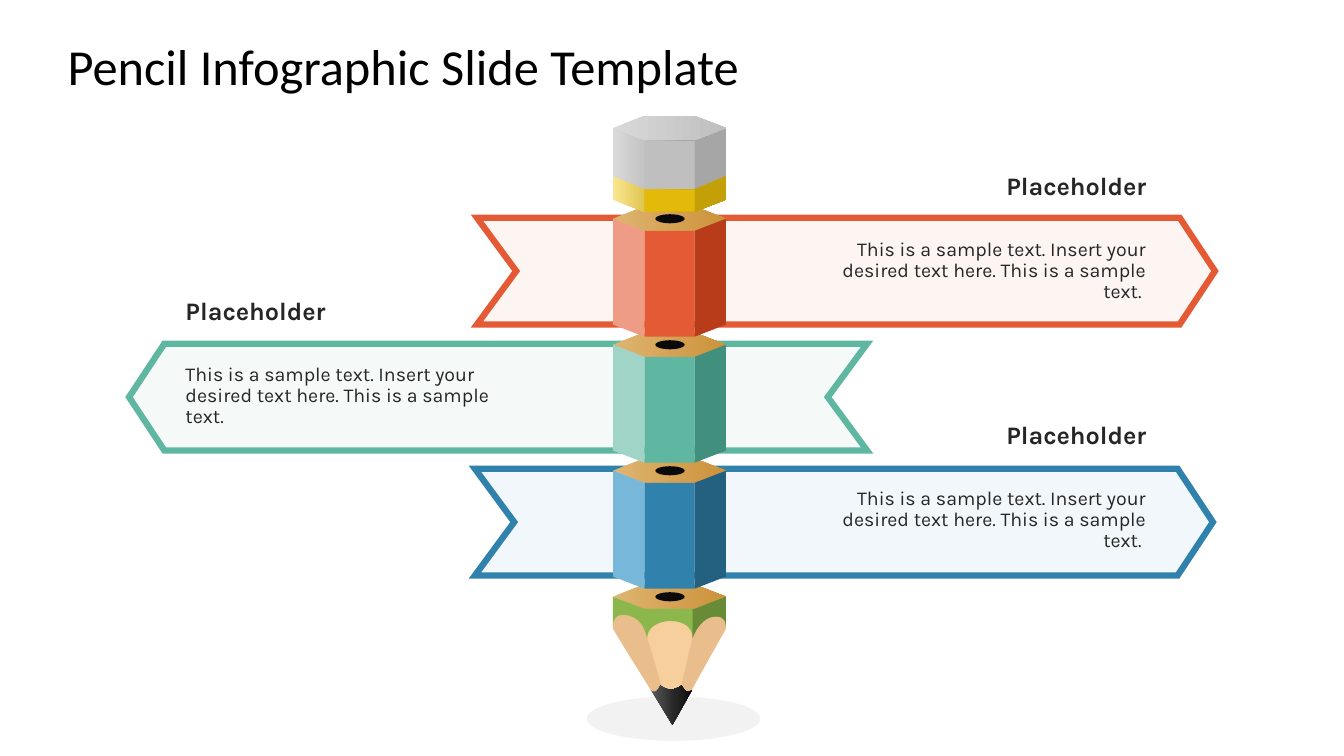
from lxml import etree
from pptx import Presentation, util as u
from pptx.dml.color import RGBColor
from pptx.enum import shapes, text
from pptx.oxml.ns import qn

RED, RED_DARK, RED_LIGHT, RED_PALE = map(RGBColor.from_string, ("E35A35", "B83B1A", "EE9C86", "F9DED7"))
TEAL, TEAL_DARK, TEAL_LIGHT, TEAL_PALE = map(RGBColor.from_string, ("5FB7A2", "41907D", "9FD4C7", "DFF1EC"))
BLUE, BLUE_DARK, BLUE_LIGHT, BLUE_PALE = map(RGBColor.from_string, ("3081AC", "246181", "77B7D9", "D2E7F2"))
BLACK, INK, LEAD, SHADE = map(RGBColor.from_string, ("000000", "262626", "0A0A0A", "F2F2F2"))
WOOD, WOOD_SIDE = map(RGBColor.from_string, ("F7CF9C", "EABD8C"))
GREEN, GREEN_DARK = map(RGBColor.from_string, ("8BB74C", "688B38"))
GREY, YELLOW = map(RGBColor.from_string, ("BFBFBF", "E4BA0A"))

# Gradients: (percent, colour) stops from left to right
CUT_WOOD = [(0, "DEB571"), (100, "CD923B")]
GRAPHITE = [(0, "595959"), (59, "262626"), (99, "0D0D0D")]
ERASER = [(0, "D9D9D9"), (63, "A6A6A6"), (100, "A6A6A6")]
ERASER_TOP = [(0, "D9D9D9"), (100, "BFBFBF")]
FERRULE = [(0, "FAE690"), (59, "C4A008"), (100, "C4A008")]

# Vertical edges of the hexagonal pencil, and the drop of its slanted edges
LEFT, INNER_LEFT, INNER_RIGHT, RIGHT = 6.08, 6.39, 6.89, 7.2
DROP, SECTION, TOP_SECTION, STEP = 0.12, 1.05, 2.17, 1.25

SAMPLE = "This is a sample text. Insert your desired text here. This is a sample text."


def flatten(outline, steps=10):
    """Turn six-number cubic curves into points; pairs pass through."""
    points = []
    for part in outline:
        if len(part) == 2:
            points.append(part)
            continue
        x0, y0 = points[-1]
        x1, y1, x2, y2, x3, y3 = part
        for i in range(1, steps + 1):
            t = i / steps
            a, b, c, d = (1 - t) ** 3, 3 * t * (1 - t) ** 2, 3 * t * t * (1 - t), t ** 3
            points.append((a * x0 + b * x1 + c * x2 + d * x3, a * y0 + b * y1 + c * y2 + d * y3))
    return points


class PencilSlide:
    TITLE = {"size": u.Pt(36), "name": "Calibri"}
    LABEL = {"size": u.Pt(18), "name": "Karla", "bold": True}
    BODY = {"size": u.Pt(14), "name": "Karla", "bold": False}

    def __init__(self, prs):
        self.s = prs.slides.add_slide(prs.slide_layouts[5])

    def paint(self, sp, fill):
        sp.shadow.inherit = False
        sp.line.fill.background()
        if isinstance(fill, RGBColor):
            sp.fill.solid()
            sp.fill.fore_color.rgb = fill
            return sp
        sp.fill.gradient()
        sp.fill.gradient_angle = 0
        stops = sp._element.spPr.find(qn("a:gradFill")).find(qn("a:gsLst"))
        for stop in list(stops):
            stops.remove(stop)
        for percent, color in fill:
            stop = etree.SubElement(stops, qn("a:gs"), pos=str(percent * 1000))
            etree.SubElement(stop, qn("a:srgbClr"), val=color)
        return sp

    def preset(self, kind, x, y, w, h, fill):
        sp = self.s.shapes.add_shape(kind, *map(u.Inches, (x, y, w, h)))
        return self.paint(sp, fill)

    def freeform(self, outline, fill):
        points = [(u.Inches(x), u.Inches(y)) for x, y in flatten(outline)]
        builder = self.s.shapes.build_freeform(*points[0])
        builder.add_line_segments(points[1:], close=True)
        return self.paint(builder.convert_to_shape(), fill)

    def set_text(self, sp, words, style, color, align):
        tf = sp.text_frame
        frame = {"word_wrap": True, "vertical_anchor": text.MSO_ANCHOR.MIDDLE,
                 "margin_left": 0, "margin_right": 0}
        for name, value in frame.items():
            setattr(tf, name, value)
        p = tf.paragraphs[0]
        p.alignment, p.line_spacing = align, 0.9
        r = p.add_run()
        r.text = words
        for name, value in style.items():
            setattr(r.font, name, value)
        r.font.color.rgb = color

    def title(self, words):
        sp = self.s.shapes.title
        box = {"left": 0.67, "top": 0.3, "width": 12, "height": 0.78}
        for name, value in box.items():
            setattr(sp, name, u.Inches(value))
        self.set_text(sp, words, self.TITLE, BLACK, text.PP_ALIGN.LEFT)

    def text_box(self, words, x, y, h, style, align):
        sp = self.s.shapes.add_textbox(*map(u.Inches, (x, y, 3.43, h)))
        sp.text_frame.margin_top = sp.text_frame.margin_bottom = 0
        self.set_text(sp, words, style, INK, align)

    def banner(self, tail, y, way, color, pale):
        """Ribbon from its notched tail; way is 1 to the right, -1 to the left."""
        offsets = [(0, 0), (6.97, 0), (7.32, 0.53), (6.97, 1.06), (0, 1.06), (0.39, 0.53)]
        sp = self.freeform([(tail + way * dx, y + dy) for dx, dy in offsets], pale)
        tint = sp._element.spPr.find(qn("a:solidFill"))[0]
        etree.SubElement(tint, qn("a:alpha"), val="30000")
        sp.line.width = u.Pt(4.5)
        sp.line.color.rgb = color
        etree.SubElement(sp._element.spPr.find(qn("a:ln")), qn("a:miter"), lim="800000")

    def hexagon(self, y, fill):
        self.freeform([(LEFT, y), (INNER_LEFT, y - DROP), (INNER_RIGHT, y - DROP), (RIGHT, y),
                       (INNER_RIGHT, y + DROP), (INNER_LEFT, y + DROP)], fill)

    def cut_face(self, y):
        self.hexagon(y, CUT_WOOD)
        self.preset(shapes.MSO_SHAPE.OVAL, 6.5, y - 0.045, 0.29, 0.09, LEAD)

    def side(self, outer, inner, y, fill):
        self.freeform([(outer, y), (inner, y + DROP), (inner, y + DROP + SECTION),
                       (outer, y + SECTION)], fill)

    def section(self, y, front, dark, light):
        self.cut_face(y)
        self.preset(shapes.MSO_SHAPE.RECTANGLE, INNER_LEFT, y + DROP,
                    INNER_RIGHT - INNER_LEFT, SECTION, front)
        self.side(RIGHT, INNER_RIGHT, y, dark)
        self.side(LEFT, INNER_LEFT, y, light)

    def tip(self, y):
        self.freeform([(6.14, 6.08), (6.64, 7.08), (7.1, 6.08)], WOOD)
        self.freeform([(6.47, 6.49), (6.39, 6.24), (6.39, 6.06), (LEFT, 6.06), (LEFT, 6.24),
                       (6.22, 6.47), (6.67, 7.19)], WOOD_SIDE)
        self.freeform([(6.89, 6.06), (6.89, 6.24), (6.83, 6.49), (6.67, 7.19), (7.07, 6.47),
                       (RIGHT, 6.24), (RIGHT, 6.06)], WOOD_SIDE)
        self.cut_face(y)
        right_scallop = [(6.87, 6.33), (6.9, 6.24, 6.98, 6.13, 7.07, 6.12),
                         (7.19, 6.1, RIGHT, 6.18, RIGHT, 6.22), (RIGHT, y)]
        self.freeform([(INNER_RIGHT, y + DROP), (INNER_LEFT, y + DROP), (LEFT, y), (LEFT, 6.24),
                       (LEFT, 6.24, 6.06, 6.1, 6.18, 6.1), (6.27, 6.1, 6.35, 6.15, 6.39, 6.24),
                       (6.42, 6.33), (6.42, 6.24, 6.5, 6.17, 6.64, 6.16),
                       (6.79, 6.16, 6.87, 6.23, 6.87, 6.33)] + right_scallop, GREEN)
        self.freeform([(INNER_RIGHT, y + DROP), (6.87, y + DROP)] + right_scallop, GREEN_DARK)
        self.freeform([(6.46, 6.85), (6.67, 7.19), (6.86, 6.85),
                       (6.86, 6.85, 6.83, 6.87, 6.81, 6.86), (6.78, 6.84, 6.76, 6.8, 6.76, 6.8),
                       (6.76, 6.8, 6.71, 6.84, 6.65, 6.84), (6.6, 6.84, 6.55, 6.8, 6.55, 6.8),
                       (6.55, 6.8, 6.51, 6.9, 6.46, 6.85)], GRAPHITE)

    def eraser(self):
        rect, width = shapes.MSO_SHAPE.RECTANGLE, INNER_RIGHT - INNER_LEFT
        self.freeform([(RIGHT, 1.27), (RIGHT, 1.86), (RIGHT, 1.91, 7.14, 1.95, 7.07, 1.95),
                       (6.22, 1.95), (6.14, 1.95, LEFT, 1.91, LEFT, 1.86), (LEFT, 1.27)], ERASER)
        self.preset(rect, INNER_LEFT, 1.4, width, 0.48, GREY)
        self.hexagon(1.27, ERASER_TOP)
        self.freeform([(RIGHT, 1.75), (INNER_RIGHT, 1.88), (INNER_LEFT, 1.88), (LEFT, 1.75),
                       (LEFT, 1.98), (INNER_LEFT, 2.1), (INNER_RIGHT, 2.1), (RIGHT, 1.98)], FERRULE)
        self.preset(rect, INNER_LEFT, 1.88, width, 0.22, YELLOW)


def main():
    prs = Presentation()
    prs.slide_width, prs.slide_height = u.Inches(13.33), u.Inches(7.5)
    pencil = PencilSlide(prs)
    pencil.title("Pencil Infographic Slide Template")
    pencil.preset(shapes.MSO_SHAPE.OVAL, 5.82, 6.91, 1.72, 0.44, SHADE)

    banners = [(4.71, 4.65, 1, BLUE, BLUE_PALE), (4.73, 2.16, 1, RED, RED_PALE),
               (8.6, 3.41, -1, TEAL, TEAL_PALE)]
    for banner in banners:
        pencil.banner(*banner)

    pencil.tip(TOP_SECTION + 3 * STEP)
    sections = [(RED, RED_DARK, RED_LIGHT), (TEAL, TEAL_DARK, TEAL_LIGHT),
                (BLUE, BLUE_DARK, BLUE_LIGHT)]
    for i, colors in reversed(list(enumerate(sections))):
        pencil.section(TOP_SECTION + i * STEP, *colors)
    pencil.eraser()

    right, left = text.PP_ALIGN.RIGHT, text.PP_ALIGN.LEFT
    for x, y, words, align in [(7.94, 2.46, SAMPLE + " ", right), (7.94, 4.93, SAMPLE + " ", right),
                               (1.84, 3.7, SAMPLE, left)]:
        pencil.text_box(words, x, y, 0.46, pencil.BODY, align)
        pencil.text_box("Placeholder", x, y - 0.77, 0.33, pencil.LABEL, align)
    prs.save("out.pptx")


if __name__ == "__main__":
    main()
